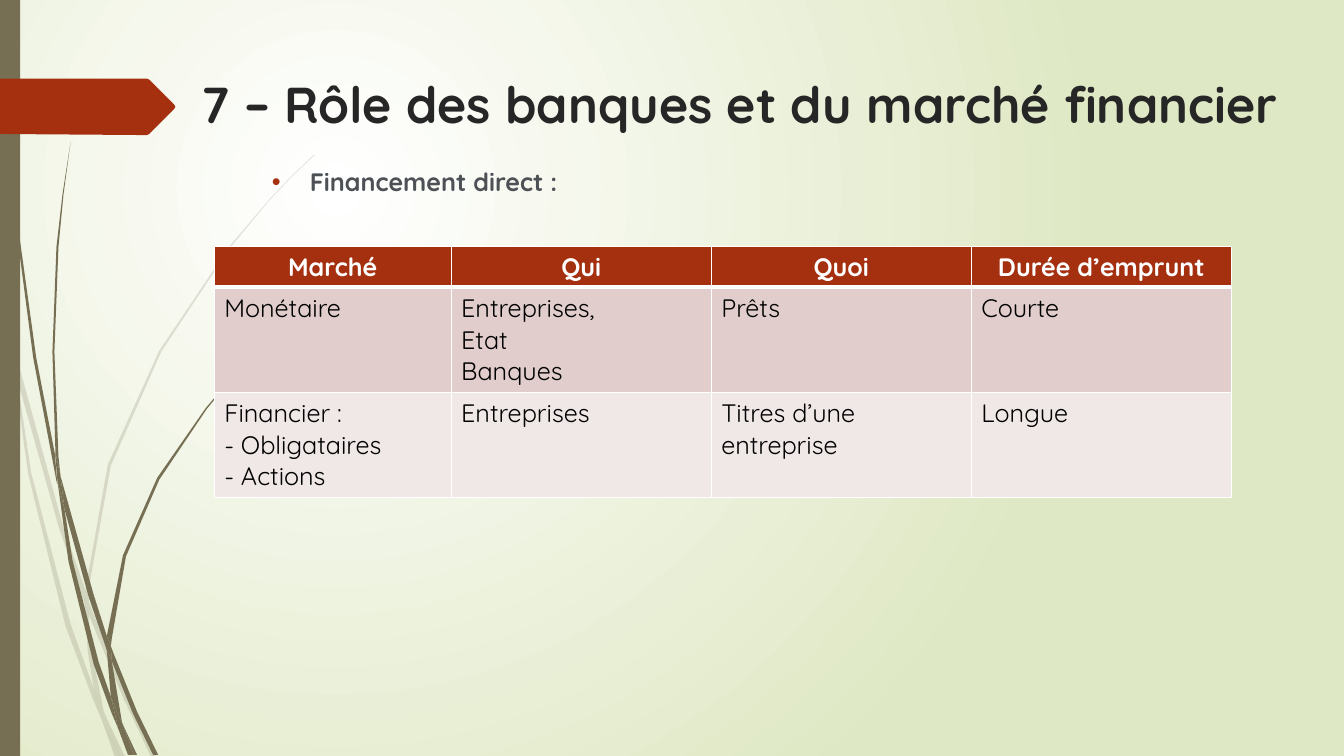
from lxml.etree import SubElement
from pptx import Presentation
from pptx.dml.color import RGBColor
from pptx.enum.shapes import MSO_SHAPE
from pptx.enum.text import PP_ALIGN
from pptx.oxml.ns import qn
from pptx.util import Pt

FONT = "Quicksand"
COLORS = {
    "white": "FFFFFF", "meadow": "DFE8C4", "olive": "766F54", "rust": "A53010",
    "title": "262626", "body": "4D5156", "black": "000000",
    "band_dark": "E1CDCC", "band_light": "F0E8E7",
}
GRID = Pt(0.72)  # one unit of the outlines below

# Grass blades: outline points as (x, y) on the grid
PALE_GRASS = [
    [(11, 350), (9, 322), (0, 282), (0, 299), (10, 344)],
    [(58, 522), (84, 599), (85, 586), (62, 520), (14, 345), (17, 376)],
    [(92, 607), (88, 596), (88, 610), (123, 694), (150, 751), (155, 751), (127, 692)],
    [(119, 751), (124, 751), (105, 711)],
    [(93, 683), (70, 619), (31, 469), (17, 376), (11, 350), (28, 470), (65, 621),
     (92, 693), (101, 714), (99, 707)],
    [(84, 599), (87, 646), (93, 683), (96, 692), (105, 711), (103, 706), (91, 646),
     (88, 610), (88, 608)],
    [(88, 584), (110, 462), (160, 349), (229, 245), (268, 198), (290, 175), (312, 154),
     (312, 153), (289, 175), (268, 197), (228, 244), (158, 348), (107, 461), (85, 584),
     (85, 586), (88, 596)],
    [(101, 714), (114, 751), (119, 751)],
    [(88, 608), (88, 610), (88, 596), (85, 586), (84, 599)],
    [(96, 692), (93, 683), (99, 707), (101, 714), (119, 751), (105, 711)],
]
DARK_GRASS = [
    [(7, 110), (17, 233), (33, 355), (56, 477), (57, 481), (55, 457), (55, 453),
     (36, 355), (19, 232), (8, 109), (5, 48), (4, 0), (3, 0), (4, 48)],
    [(88, 592), (106, 645), (106, 633), (106, 631), (93, 590), (60, 472), (64, 505)],
    [(113, 649), (110, 641), (111, 656), (132, 708), (152, 749), (157, 749), (136, 706)],
    [(110, 691), (98, 657), (72, 556), (64, 505), (57, 477), (68, 557), (93, 659),
     (111, 708), (117, 722), (116, 717)],
    [(60, 472), (58, 453), (54, 349), (58, 245), (63, 193), (70, 141), (62, 193),
     (56, 245), (52, 349), (55, 449)],
    [(133, 749), (136, 749), (122, 719)],
    [(57, 477), (64, 505), (60, 472), (55, 449), (55, 453)],
    [(111, 633), (125, 552), (158, 476), (205, 406), (231, 374), (245, 359), (261, 344),
     (260, 344), (245, 358), (231, 373), (204, 405), (156, 474), (122, 551), (106, 631),
     (110, 641)],
    [(117, 722), (127, 749), (131, 749)],
    [(106, 645), (110, 691), (116, 706), (122, 719), (121, 716), (111, 656), (109, 651)],
    [(106, 645), (109, 651), (111, 656), (110, 641), (106, 631), (106, 633)],
    [(116, 706), (110, 691), (116, 717), (117, 722), (130, 749), (133, 749), (122, 719)],
]
ARROW = [(173, 108), (148, 133), (146, 134), (136, 134), (0, 133), (0, 78), (136, 78),
         (146, 78), (148, 79), (173, 104), (174, 106)]

COLUMN_WIDTHS = [169.2, 185.8, 185.8, 185.8]
ROW_HEIGHTS = [29.2, 75, 75]
TABLE_ROWS = [
    ["Marché", "Qui", "Quoi", "Durée d’emprunt"],
    ["Monétaire", "Entreprises,\nEtat\nBanques", "Prêts", "Courte"],
    ["Financier :\n- Obligataires\n- Actions", "Entreprises", "Titres d’une entreprise", "Longue"],
]
ROW_FILLS = ["rust", "band_dark", "band_light"]


def rgb(name):
    return RGBColor.from_string(COLORS[name])


def paint(shape, color):
    shape.shadow.inherit = False
    shape.fill.solid()
    shape.fill.fore_color.rgb = rgb(color)
    shape.line.fill.background()


def write_text(frame, text, size=18, color="black", bold=False, align=PP_ALIGN.LEFT, bullet=None):
    """Write one paragraph per line; bullet names the bullet colour."""
    frame.word_wrap = True
    for index, line in enumerate(text.split("\n")):
        paragraph = frame.paragraphs[0] if index == 0 else frame.add_paragraph()
        if bullet:
            add_bullet(paragraph, bullet)
        paragraph.alignment = align
        run = paragraph.add_run()
        run.text = line
        run.font.name = FONT
        run.font.size = Pt(size)
        run.font.bold = bold
        run.font.color.rgb = rgb(color)


def add_bullet(paragraph, color):
    properties = paragraph._p.get_or_add_pPr()
    properties.set("marL", str(Pt(27)))
    properties.set("indent", str(-Pt(27)))
    bullet_color = SubElement(properties, qn("a:buClr"))
    SubElement(bullet_color, qn("a:srgbClr"), val=COLORS[color])
    SubElement(properties, qn("a:buFont"), typeface="Arial")
    SubElement(properties, qn("a:buChar"), char="•")


def add_text_box(slide, left, top, width, height, text, **style):
    box = slide.shapes.add_textbox(Pt(left), Pt(top), Pt(width), Pt(height))
    write_text(box.text_frame, text, **style)


def add_outline(slide, points, color, opacity=100):
    builder = slide.shapes.build_freeform(*points[0], scale=GRID)
    builder.add_line_segments(points[1:], close=True)
    shape = builder.convert_to_shape()
    paint(shape, color)
    if opacity < 100:
        fill_color = shape.element.spPr.find(qn("a:solidFill"))[0]
        SubElement(fill_color, qn("a:alpha"), val=str(opacity * 1000))


def set_background(slide):
    fill = slide.background.fill
    fill.gradient()
    for stop, color in zip(fill.gradient_stops, ["white", "meadow"]):
        stop.color.rgb = rgb(color)
    gradient = slide.element.find(".//" + qn("a:gradFill"))
    gradient.remove(gradient.find(qn("a:lin")))
    circle = SubElement(gradient, qn("a:path"), path="circle")
    SubElement(circle, qn("a:fillToRect"), l="50000", t="50000", r="100000", b="100000")


def set_borders(cell, top, bottom):
    properties = cell._tc.get_or_add_tcPr()
    widths = {"a:lnL": 1, "a:lnR": 1, "a:lnT": top, "a:lnB": bottom}
    for index, (side, width) in enumerate(widths.items()):
        line = SubElement(properties, qn(side), w=str(Pt(width)))
        SubElement(SubElement(line, qn("a:solidFill")), qn("a:srgbClr"), val=COLORS["white"])
        properties.insert(index, line)


def add_market_table(slide, left, top):
    frame = slide.shapes.add_table(
        len(ROW_HEIGHTS), len(COLUMN_WIDTHS), Pt(left), Pt(top),
        Pt(sum(COLUMN_WIDTHS)), Pt(sum(ROW_HEIGHTS)))
    table = frame.table
    table.horz_banding = False
    for column, width in zip(table.columns, COLUMN_WIDTHS):
        column.width = Pt(width)
    for row_index, texts in enumerate(TABLE_ROWS):
        table.rows[row_index].height = Pt(ROW_HEIGHTS[row_index])
        header = row_index == 0
        for column_index, text in enumerate(texts):
            cell = table.cell(row_index, column_index)
            cell.fill.solid()
            cell.fill.fore_color.rgb = rgb(ROW_FILLS[row_index])
            set_borders(cell, top=3 if row_index == 1 else 1, bottom=3 if header else 1)
            write_text(cell.text_frame, text, bold=header,
                       color="white" if header else "black",
                       align=PP_ALIGN.CENTER if header else PP_ALIGN.LEFT)


def main():
    presentation = Presentation()
    presentation.slide_width, presentation.slide_height = Pt(960), Pt(540)
    slide = presentation.slides.add_slide(presentation.slide_layouts[6])
    set_background(slide)

    # Grass, side bar and arrow
    for blade in PALE_GRASS:
        add_outline(slide, blade, "olive", opacity=20)
    for blade in DARK_GRASS:
        add_outline(slide, blade, "olive")
    side_bar = slide.shapes.add_shape(MSO_SHAPE.RECTANGLE, 0, 0, Pt(14.4), Pt(540))
    paint(side_bar, "olive")
    add_outline(slide, ARROW, "rust")

    # Title, subtitle and table
    add_text_box(slide, 136.8, 49, 800, 100.8, "7 – Rôle des banques et du marché financier",
                 size=36, color="title", bold=True)
    add_text_box(slide, 187.2, 115.2, 718.6, 416.2, "Financement direct :",
                 color="body", bold=True, bullet="rust")
    add_market_table(slide, 153, 176)

    presentation.save("out.pptx")


if __name__ == "__main__":
    main()
